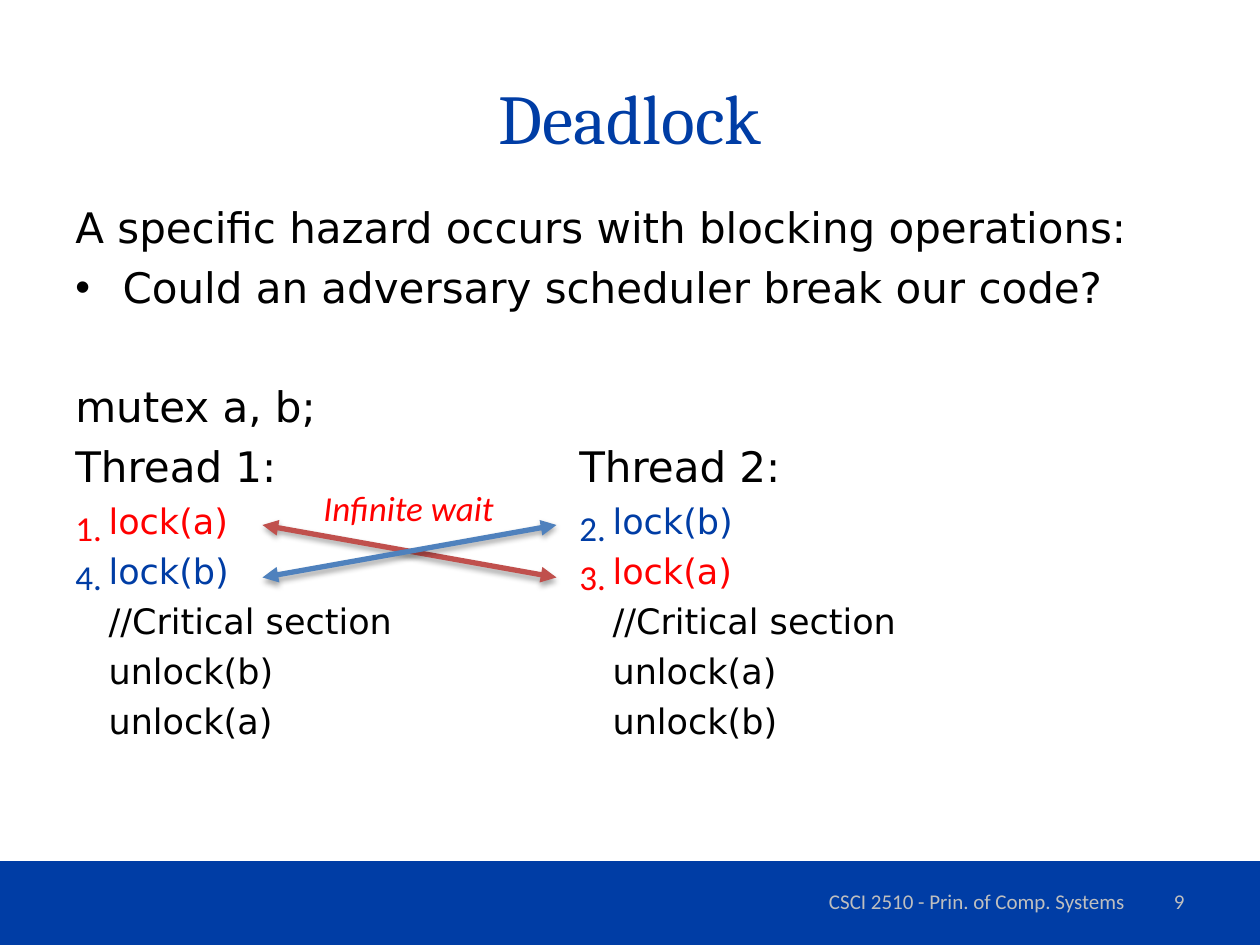
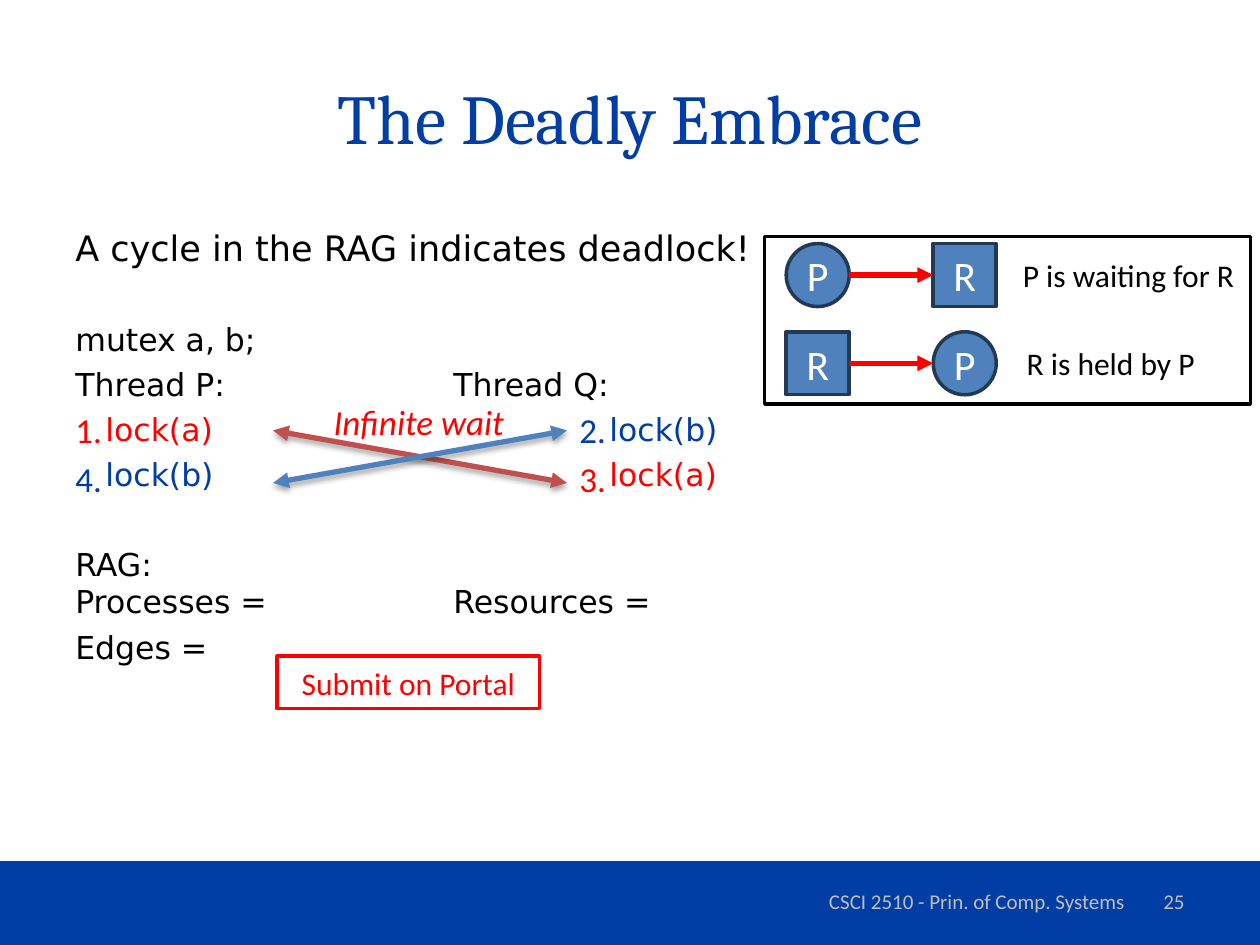
"""Build two slides on deadlock and resource allocation graphs."""
import pptx
import pptx.dml.color
import pptx.enum.shapes
import pptx.enum.text
import pptx.oxml
import pptx.oxml.ns
import pptx.util
from lxml import etree

Pt = pptx.util.Pt
SHAPE = pptx.enum.shapes.MSO_SHAPE
ALIGN = pptx.enum.text.PP_ALIGN
MIDDLE = pptx.enum.text.MSO_ANCHOR.MIDDLE
qn = pptx.oxml.ns.qn


class Theme:
    """Colours, fonts and type sizes."""
    blue, red, black, white = "003DA5", "FF0000", "000000", "FFFFFF"
    grey, brick, steel, navy = "BFBFBF", "C0504D", "4F81BD", "233953"
    heading, body, label = "Cambria", "DejaVu Sans", "Calibri"
    title, lead, node, code, note, footer = 40, 24, 24, 20, 18, 12
    line_height, space, number_pitch = 1.164, 0.2, 28
    left, column, bullet = 36, 288, 27


def rgb(value):
    """Turn a hex string into a colour."""
    return pptx.dml.color.RGBColor.from_string(value)


def sub(parent, tag, **attrs):
    """Append a drawing element with its attributes."""
    return etree.SubElement(parent, qn(tag), {k: str(v) for k, v in attrs.items()})


def style(obj, **formats):
    """Set attributes from a dict of format values."""
    for name, value in formats.items():
        setattr(obj, name, value)


class Deck:
    """Holds the theme and the current slide."""

    def __init__(self, theme):
        """Start an empty 10 by 7.5 inch deck."""
        self.t = theme
        self.prs = pptx.Presentation()
        style(self.prs, slide_width=Pt(720), slide_height=Pt(540))

    def slide(self, title, number):
        """Add a slide with band, title and footer."""
        t = self.t
        s = self.prs.slides.add_slide(self.prs.slide_layouts[5])
        self.s, self.shapes = s, s.shapes
        self.shape(SHAPE.RECTANGLE, (0, 492, 720, 48), fill=t.blue)
        sp = s.shapes.title
        style(sp, left=Pt(t.left), top=Pt(21.6), width=Pt(648), height=Pt(90))
        tf = sp.text_frame
        style(tf, word_wrap=True, vertical_anchor=MIDDLE,
              auto_size=pptx.enum.text.MSO_AUTO_SIZE.NONE)
        tf.paragraphs[0].alignment = ALIGN.CENTER
        self.run(tf.paragraphs[0], title, t.title, t.blue, t.heading)
        for text, x, w, align in (
                ("CSCI 2510 - Prin. of Comp. Systems", 444.2, 228.2, ALIGN.CENTER),
                (number, 516, 168, ALIGN.RIGHT)):
            tf = self.text((x, 500.4, w, 28.8), [(text, t.grey)], t.footer, wrap=True)
            tf.vertical_anchor = MIDDLE
            tf.paragraphs[0].alignment = align

    def run(self, p, text, size, color, font, italic=False):
        """Add one formatted run."""
        r = p.add_run()
        r.text = text
        style(r.font, size=Pt(size), name=font, italic=italic)
        r.font.color.rgb = rgb(color)

    def text(self, box, lines, size, italic=False, pitch=None, wrap=False):
        """Add a label with one coloured line per paragraph."""
        tf = self.shapes.add_textbox(*map(Pt, box)).text_frame
        tf.word_wrap = wrap
        for i, (text, color) in enumerate(lines):
            p = tf.add_paragraph() if i else tf.paragraphs[0]
            if pitch:
                p.line_spacing = Pt(pitch)
            self.run(p, text, size, color, self.t.label, italic)
        return tf

    def body(self, top, paragraphs):
        """Add the main text from (size, runs, options) paragraphs."""
        t = self.t
        tf = self.shapes.add_textbox(*map(Pt, (t.left, top, 648, 356.4))).text_frame
        tf.word_wrap = True
        for i, (size, runs, opts) in enumerate(paragraphs):
            p = tf.add_paragraph() if i else tf.paragraphs[0]
            pPr = p._p.get_or_add_pPr()
            if opts.get("bullet"):
                pPr.set("marL", str(Pt(t.bullet)))
                pPr.set("indent", str(-Pt(t.bullet)))
                sub(pPr, "a:buFont", typeface="Arial")
                sub(pPr, "a:buChar", char="•")
            if opts.get("tabs"):
                tabs = sub(pPr, "a:tabLst")
                for pos in opts["tabs"]:
                    sub(tabs, "a:tab", pos=Pt(pos), algn="l")
            if i:
                lines = t.space + (1 + t.space if opts.get("gap") else 0)
                p.space_before = Pt(round(size * t.line_height * lines, 2))
            for text, color in runs:
                for k, part in enumerate(text.split("\n")):
                    if k:
                        p.add_line_break()
                    self.run(p, part, size, color, t.body)

    def shape(self, kind, box, fill=None, line=None, text="", size=18, color="FFFFFF"):
        """Add a preset shape with optional centred text."""
        sp = self.shapes.add_shape(kind, *map(Pt, box))
        sp.shadow.inherit = False
        if fill:
            sp.fill.solid()
            sp.fill.fore_color.rgb = rgb(fill)
        else:
            sp.fill.background()
        if line:
            sp.line.color.rgb = rgb(line)
            sp.line.width = Pt(2)
        else:
            sp.line.fill.background()
        if text:
            tf = sp.text_frame
            style(tf, word_wrap=False, vertical_anchor=MIDDLE)
            tf.paragraphs[0].alignment = ALIGN.CENTER
            self.run(tf.paragraphs[0], text, size, color, self.t.label)

    def arrow(self, start, end, color, both=False, shadow=False):
        """Add an arrow, optionally double-headed and shadowed."""
        c = self.shapes.add_connector(
            pptx.enum.shapes.MSO_CONNECTOR.STRAIGHT, *map(Pt, start + end))
        c.line.color.rgb = rgb(color)
        c.line.width = Pt(3)
        ln = c.line._get_or_add_ln()
        for tag in ("a:headEnd", "a:tailEnd")[0 if both else 1:]:
            sub(ln, tag, type="triangle")
        effects = sub(c._element.spPr, "a:effectLst")
        if shadow:
            outer = sub(effects, "a:outerShdw", blurRad=Pt(3.1), dist=Pt(1.8),
                        dir=5400000, rotWithShape=0)
            sub(sub(outer, "a:srgbClr", val=self.t.black), "a:alpha", val=35000)

    def wait_cycle(self, x, y, numbers_top, caption):
        """Draw the crossed arrows, lock order numbers and caption."""
        t, w, h = self.t, 168, 30
        self.arrow((x, y), (x + w, y + h), t.brick, both=True, shadow=True)
        self.arrow((x, y + h), (x + w, y), t.steel, both=True, shadow=True)
        for left, lines in (
                (t.left, [("1.", t.red), ("4.", t.blue)]),
                (t.left + t.column, [("2.", t.blue), ("3.", t.red)])):
            self.text((left, numbers_top, 29.5, 62), lines, t.code, pitch=t.number_pitch)
        self.text((*caption, 113, 31.5), [("Infinite wait", t.red)], t.code, italic=True)

    def legend(self):
        """Draw the key to graph edges as a group."""
        t = self.t
        self.shapes = self.s.shapes.add_group_shape().shapes
        self.shape(SHAPE.RECTANGLE, (437, 135, 277.5, 96), t.white, t.black)
        kinds = {"P": SHAPE.OVAL, "R": SHAPE.RECTANGLE}
        side, xs = 36, (449.3, 533.3)
        for i, (names, text, x, w) in enumerate((
                ("PR", "P is waiting for R", 577.4, 136.8),
                ("RP", "R is held by P", 579.6, 111.6))):
            y = 139.2 + 50.4 * i
            for name, left in zip(names, xs):
                self.shape(kinds[name], (left, y, side, side), t.steel, t.navy,
                           name, t.node)
            self.arrow((xs[0] + side, y + 18), (xs[1], y + 18), t.red)
            self.text((x, y + 3.6, w, 28.8), [(text, t.black)], t.note)
        self.shapes = self.s.shapes


def lock_lines(t, size, tabs):
    """Return the paired lock calls of both threads."""
    a, b = ("lock(a)", t.red), ("lock(b)", t.blue)
    return [(size, [("\t" + p[0], p[1]), ("\t" + q[0], q[1])], {"tabs": tabs})
            for p, q in ((a, b), (b, a))]


def main():
    """Build and save both slides."""
    t = Theme()
    d = Deck(t)

    def plain(size, text, **opts):
        return size, [(text, t.black)], opts

    d.slide("Deadlock", "9")
    tabs = (19, t.column + 19)
    pairs = (("//Critical section", "//Critical section"),
             ("unlock(b)", "unlock(a)"), ("unlock(a)", "unlock(b)"))
    d.body(111.6, [
        plain(t.lead, "A specific hazard occurs with blocking operations:"),
        plain(t.lead, "Could an adversary scheduler break our code?", bullet=True),
        plain(t.lead, "mutex a, b;", gap=True),
        plain(t.lead, "Thread 1:\tThread 2:", tabs=(t.column,)),
        *lock_lines(t, t.code, tabs),
        *[plain(t.code, f"\t{p}\t{q}", tabs=tabs) for p, q in pairs]])
    d.wait_cycle(150, 300, 282, (177.8, 274.3))

    d.slide("The Deadly Embrace", "25")
    half = (216,)
    d.body(126, [
        plain(t.code, "A cycle in the RAG indicates deadlock!"),
        plain(t.note, "mutex a, b;", gap=True),
        plain(t.note, "Thread P:\tThread Q:", tabs=half),
        *lock_lines(t, t.note, (17.2, t.column + 17.2)),
        plain(t.note, "RAG:\nProcesses =\tResources =", gap=True, tabs=half),
        plain(t.note, "Edges =")])
    d.wait_cycle(156, 246, 226, (183.6, 225.4))
    d.legend()
    d.shape(SHAPE.RECTANGLE, (158.4, 375, 150, 30), line=t.red,
            text="Submit on Portal", size=t.note, color=t.red)

    d.prs.save("out.pptx")


if __name__ == "__main__":
    main()
